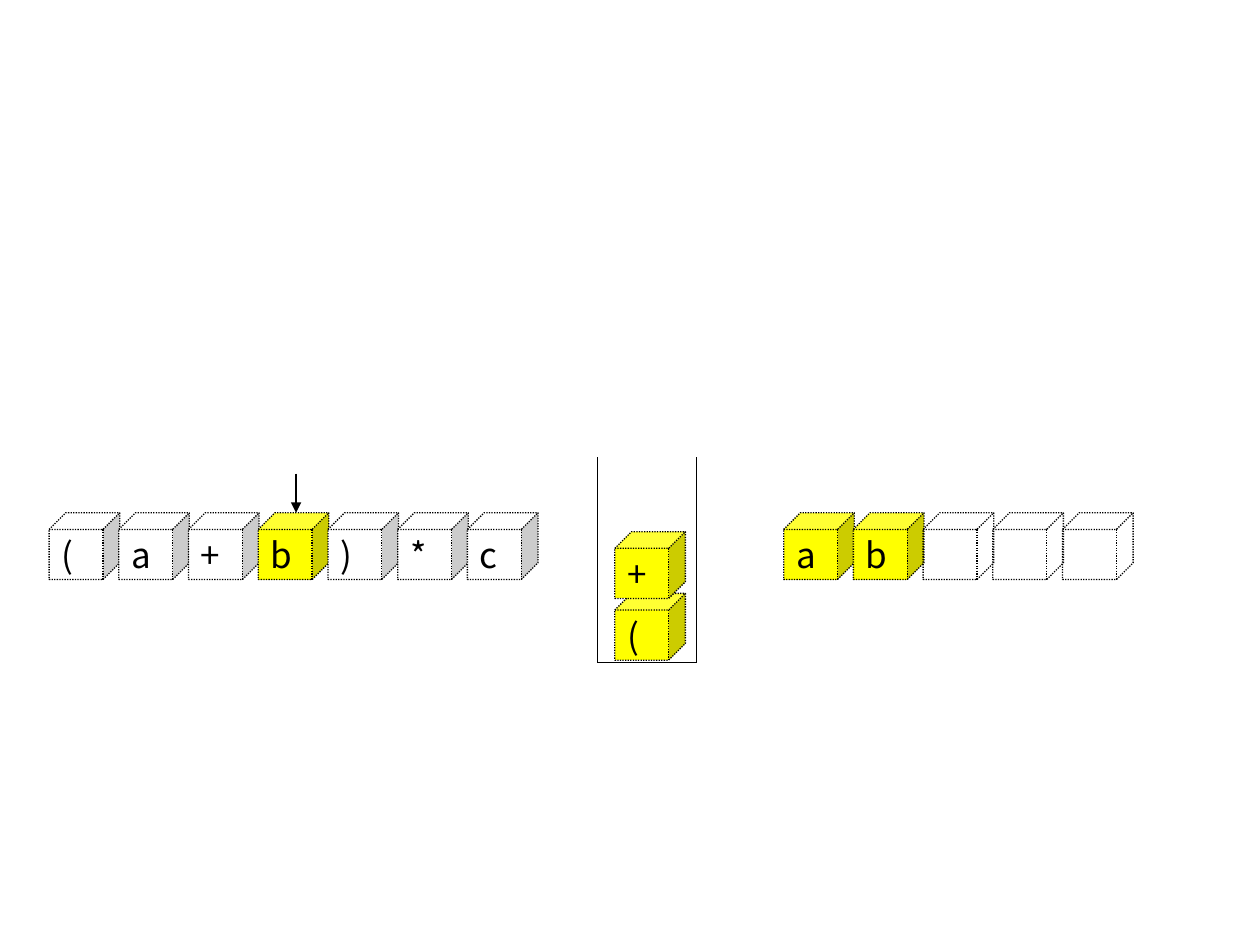
from pptx import Presentation
from pptx.dml.color import RGBColor
from pptx.enum.dml import MSO_LINE_DASH_STYLE as Dash
from pptx.enum.shapes import MSO_CONNECTOR_TYPE as Connector, MSO_SHAPE as Shape
from pptx.enum.text import MSO_ANCHOR as Anchor, MSO_AUTO_SIZE as AutoSize, PP_ALIGN as Align
from pptx.oxml.ns import qn
from pptx.util import Inches, Pt
from lxml import etree

BLACK, WHITE, YELLOW = "000000", "FFFFFF", "FFFF00"


def color(value):
    return RGBColor.from_string(value)


def write(shape, text, font="Noto Sans CJK KR", size=20, ink=BLACK, align=Align.LEFT):
    frame = shape.text_frame
    frame.word_wrap = True
    frame.auto_size = AutoSize.SHAPE_TO_FIT_TEXT
    frame.vertical_anchor = Anchor.MIDDLE
    para = frame.paragraphs[0]
    para.alignment = align
    span = para.add_run()
    span.text = text
    span.font.name = font
    span.font.size = Pt(size)
    span.font.color.rgb = color(ink)
    east_asian = etree.SubElement(span.font._element, qn("a:ea"))
    east_asian.set("typeface", font)


class Diagram:
    cube_width, cube_height = 0.56, 0.53
    pitch = (3.71 - 0.39) / 6
    line_width = 0.75

    def __init__(self, page):
        self.page = page

    def cube(self, left, top, text="", fill=None):
        box = self.page.shapes.add_shape(
            Shape.CUBE, Inches(left), Inches(top),
            Inches(self.cube_width), Inches(self.cube_height))
        box.shadow.inherit = False
        if fill:
            box.fill.solid()
            box.fill.fore_color.rgb = color(fill)
        else:
            box.fill.background()
        box.line.color.rgb = color(BLACK)
        box.line.width = Pt(self.line_width)
        box.line.dash_style = Dash.ROUND_DOT
        if text:
            write(box, text)

    def row(self, left, top, cells):
        for index, (text, fill) in enumerate(cells):
            self.cube(left + index * self.pitch, top, text, fill)

    def line(self, start, end, arrow=False, shapes=None):
        shapes = self.page.shapes if shapes is None else shapes
        line = shapes.add_connector(
            Connector.STRAIGHT, *(Inches(value) for value in start + end))
        line.line.color.rgb = color(BLACK)
        line.line.width = Pt(self.line_width)
        if arrow:
            head = etree.SubElement(line.line._get_or_add_ln(), qn("a:tailEnd"))
            head.set("type", "triangle")
        etree.SubElement(line._element.spPr, qn("a:effectLst"))

    def container(self, left, top, right, bottom):
        group = self.page.shapes.add_group_shape()
        corners = [(left, top), (left, bottom), (right, bottom), (right, top)]
        for start, end in zip(corners, corners[1:]):
            self.line(start, end, shapes=group.shapes)


def main():
    deck = Presentation()
    deck.slide_width, deck.slide_height = Inches(10), Inches(7.5)
    diagram = Diagram(deck.slides.add_slide(deck.slide_layouts[6]))
    row_top = 4.07

    # Infix expression, with the current token highlighted
    current = 3
    diagram.row(0.39, row_top, [(token, YELLOW if index == current else WHITE)
                                for index, token in enumerate("(a+b)*c")])
    diagram.line((2.35, 3.76), (2.35, row_top), arrow=True)

    # Postfix output, with free places
    diagram.row(6.22, row_top, [("a", YELLOW), ("b", YELLOW)] + [("", None)] * 3)

    # Operator stack, from the bottom up
    diagram.container(4.74, 3.63, 5.53, 5.26)
    for level, token in enumerate("(+"):
        diagram.cube(4.88, 4.71 - level * 0.49, token, YELLOW)

    deck.save("out.pptx")


if __name__ == "__main__":
    main()
